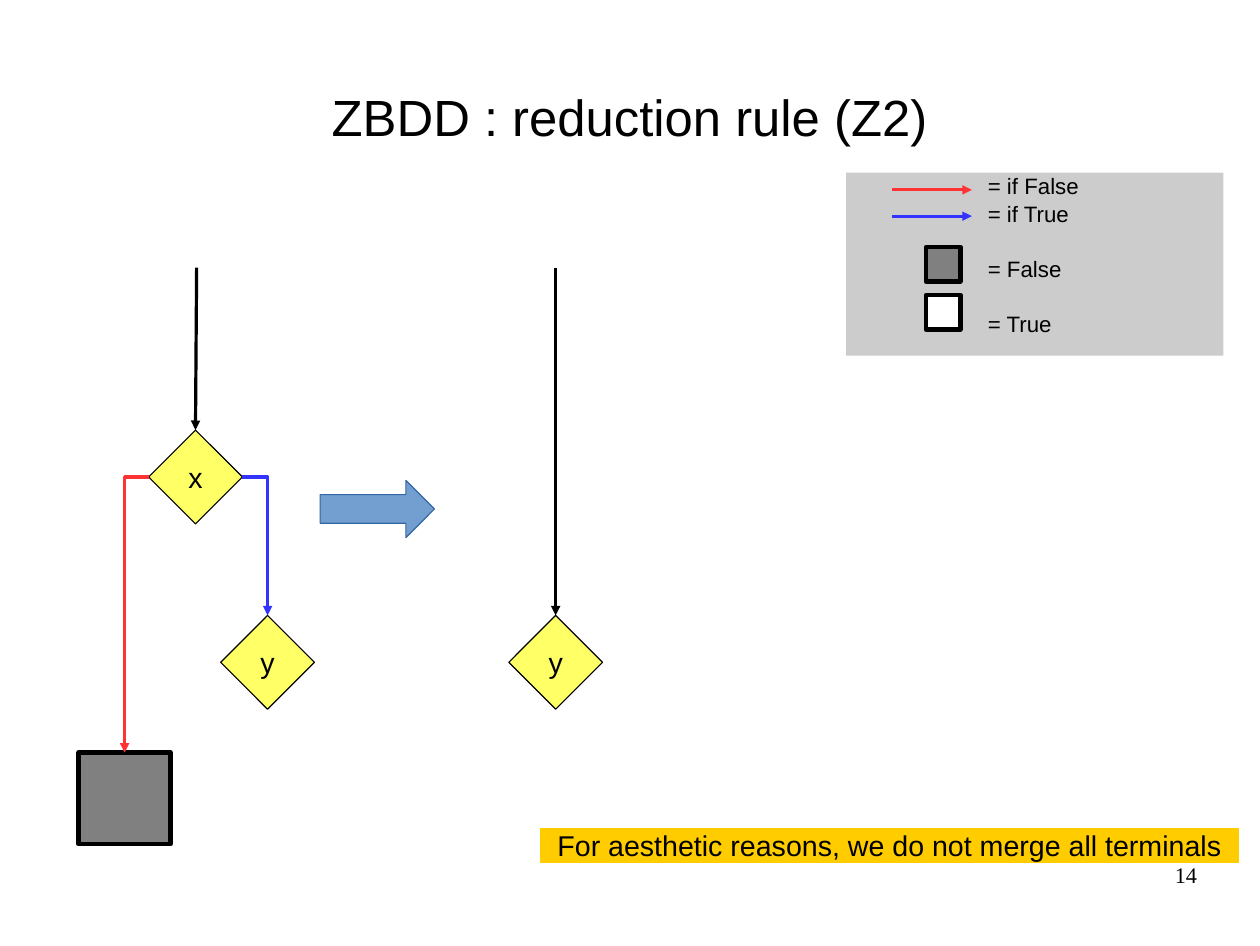
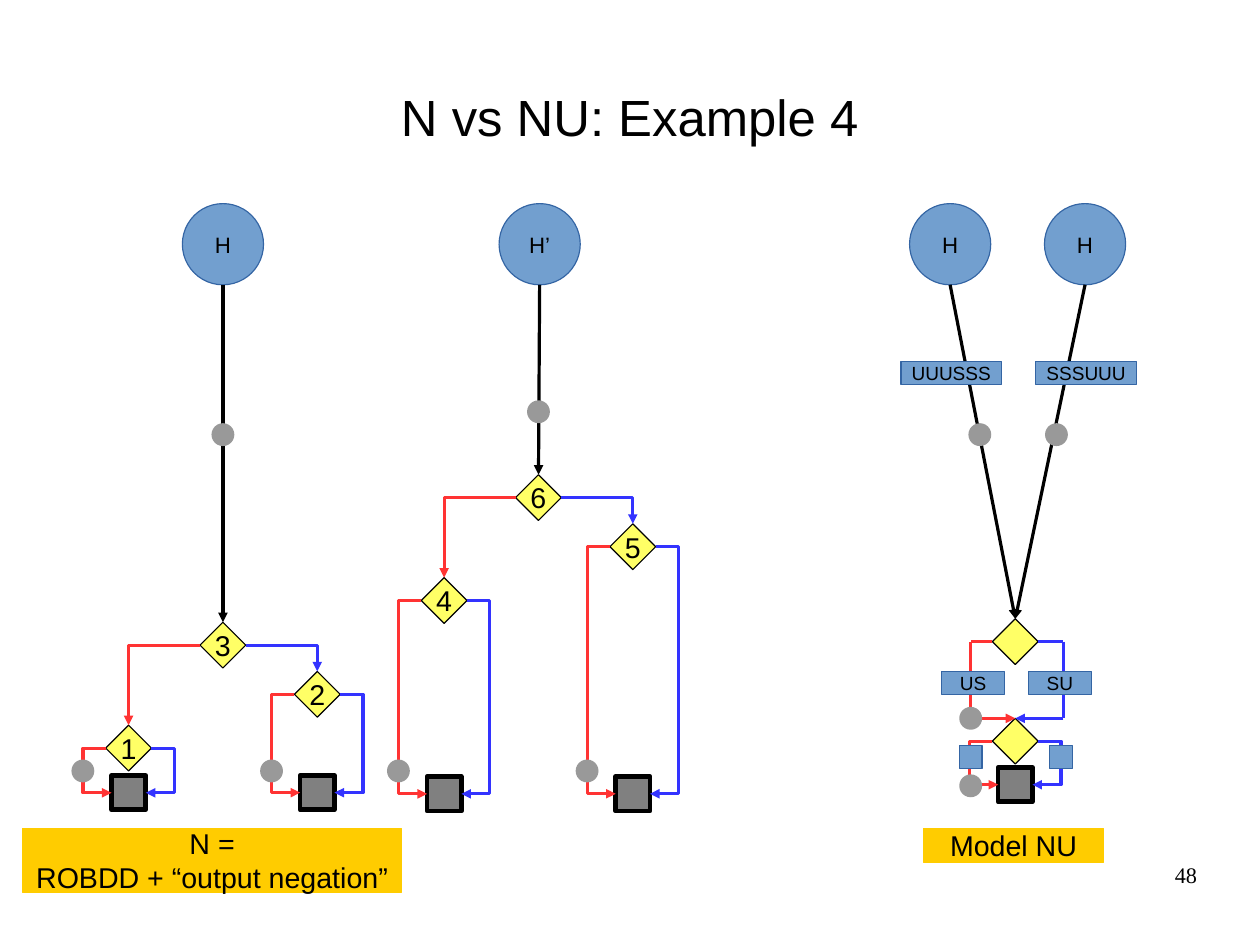
"""Builds two slides on decision diagrams: a reduction rule and an example."""
from lxml.etree import SubElement
from pptx import Presentation
from pptx.dml.color import RGBColor
from pptx.enum.shapes import MSO_CONNECTOR, MSO_SHAPE
from pptx.enum.text import MSO_ANCHOR, PP_ALIGN
from pptx.oxml.ns import qn
from pptx.util import Inches, Pt


class Look:
    sans, serif = "Arial", "Times New Roman"
    black, white = RGBColor(0, 0, 0), RGBColor(255, 255, 255)
    red, blue = RGBColor.from_string("FF3333"), RGBColor.from_string("3333FF")
    node, gold = RGBColor.from_string("FFFF66"), RGBColor.from_string("FFCC00")
    sky, navy = RGBColor.from_string("729FCF"), RGBColor.from_string("3465A4")
    dark, dot = RGBColor.from_string("808080"), RGBColor.from_string("999999")
    panel = RGBColor.from_string("CCCCCC")
    head, body, small, tag = Pt(32), Pt(18), Pt(14), Pt(12)
    hair, thick = Pt(0), Pt(3)


CELL = Inches(0.1)
TOP, LEFT, RIGHT = 0, 1, 3
REACH = 2


def draw(page, kind, mid, size, fill, edge=None, text="", type_size=Look.body, weight=Look.hair):
    (x, y), (w, h) = mid, size
    shape = page.shapes.add_shape(
        kind, *(int(n * CELL) for n in (x - w / 2, y - h / 2, w, h)))
    shape.shadow.inherit = False
    shape.fill.solid()
    shape.fill.fore_color.rgb = fill
    if edge is None:
        shape.line.fill.background()
    else:
        shape.line.color.rgb = edge
        shape.line.width = weight
    if text:
        frame = shape.text_frame
        frame.text = text
        frame.word_wrap = False
        frame.vertical_anchor = MSO_ANCHOR.MIDDLE
        for para in frame.paragraphs:
            para.alignment = PP_ALIGN.CENTER
            para.font.name, para.font.size = Look.sans, type_size
            para.font.color.rgb = Look.black
    return shape


def wire(page, start, end, ink, sites=None, head=True):
    if sites:
        line = page.shapes.add_connector(MSO_CONNECTOR.ELBOW, 0, 0, 0, 0)
        line.begin_connect(start, sites[0])
        line.end_connect(end, sites[1])
        geom = line._element.spPr.find(qn("a:prstGeom"))
        if sites[1] == TOP:
            geom.set("prst", "bentConnector2")
        else:
            bend = round(-REACH * CELL / line.width * 100000)
            SubElement(geom.find(qn("a:avLst")), qn("a:gd"), name="adj1", fmla=f"val {bend}")
    else:
        line = page.shapes.add_connector(
            MSO_CONNECTOR.STRAIGHT, *(int(n * CELL) for n in (*start, *end)))
    line.line.color.rgb = ink
    line.line.width = Look.hair
    if head:
        SubElement(line.line._get_or_add_ln(), qn("a:tailEnd"), type="triangle")
    SubElement(line._element.spPr, qn("a:effectLst"))


deck = Presentation()
deck.slide_width, deck.slide_height = Inches(11.02), Inches(8.27)
pages = []
for title, number in (("ZBDD : reduction rule (Z2)", "14"), ("N vs NU: Example 4", "48")):
    page = deck.slides.add_slide(deck.slide_layouts[6])
    pages.append(page)
    for text, box, font, size, side, anchor in (
        (title, (5.5, 3.3, 99.2, 13.8), Look.sans, Look.head, PP_ALIGN.CENTER, MSO_ANCHOR.MIDDLE),
        (number, (79, 75.3, 25.7, 5.7), Look.serif, Look.small, PP_ALIGN.RIGHT, MSO_ANCHOR.TOP),
    ):
        frame = page.shapes.add_textbox(*(int(n * CELL) for n in box)).text_frame
        frame.text = text
        frame.word_wrap = True
        frame.vertical_anchor = anchor
        frame.margin_left = frame.margin_right = frame.margin_top = frame.margin_bottom = 0
        para = frame.paragraphs[0]
        para.alignment = side
        para.font.name, para.font.size = font, size
        para.font.color.rgb = Look.black
rule, demo = pages

test, kept, final = (
    draw(rule, MSO_SHAPE.DIAMOND, mid, (8.2, 8.2), Look.node, Look.black, text)
    for mid, text in (((17.1, 41.7), "x"), ((23.4, 57.9), "y"), ((48.6, 57.9), "y")))
zero = draw(rule, MSO_SHAPE.RECTANGLE, (10.9, 69.8), (8, 8), Look.dark, Look.black, weight=Look.thick)
wire(rule, test, zero, Look.red, (LEFT, TOP))
wire(rule, test, kept, Look.blue, (RIGHT, TOP))
wire(rule, (17.2, 23.4), (17.1, 37.6), Look.black)
wire(rule, (48.6, 23.4), (48.6, 53.8), Look.black)
draw(rule, MSO_SHAPE.RIGHT_ARROW, (33, 44.5), (10, 5), Look.sky, Look.navy)

legend = draw(rule, MSO_SHAPE.RECTANGLE, (90.5, 23.1), (33, 16), Look.panel,
              text="= if False\n= if True\n= False\n= True", type_size=Look.small)
frame = legend.text_frame
frame.word_wrap = True
frame.vertical_anchor = MSO_ANCHOR.TOP
frame.margin_left, frame.margin_top = int(12.4 * CELL), 0
for para, gap in zip(frame.paragraphs, (0, 0.8, 17.6, 17.6)):
    para.alignment = PP_ALIGN.LEFT
    para.space_before = Pt(gap)
for y, ink in ((16.6, Look.red), (18.9, Look.blue)):
    wire(rule, (78, y), (85, y), ink)
for y, fill in ((23.1, Look.dark), (27.3, Look.white)):
    draw(rule, MSO_SHAPE.RECTANGLE, (82.5, y), (3, 3), fill, Look.black, weight=Look.thick)

for page, mid, size, text in (
    (rule, (77.8, 73.9), (61, 3), "For aesthetic reasons, we do not merge all terminals"),
    (demo, (18.55, 75.2), (33.1, 5.6), "N =\nROBDD + “output negation”"),
    (demo, (88.65, 73.9), (15.7, 3), "Model NU"),
):
    draw(page, MSO_SHAPE.RECTANGLE, mid, size, Look.gold, Look.gold, text)

dots = [(19.5, 38), (47.1, 36), (85.7, 38), (92.4, 38), (84.9, 62.8), (84.9, 68.7)]
loops = []
for x, y, floor, names in ((19.5, 56.4, 69.3, "312"), (47.1, 43.5, 69.4, "645")):
    spots = ((x, y), (x - 8.25, y + 9), (x + 8.25, y + 4.3))
    root, low, high = (
        draw(demo, MSO_SHAPE.DIAMOND, mid, (4, 4), Look.node, Look.black, name)
        for mid, name in zip(spots, names))
    wire(demo, root, low, Look.red, (LEFT, TOP))
    wire(demo, root, high, Look.blue, (RIGHT, TOP))
    for child, (mid, _) in zip((low, high), spots[1:]):
        loops.append((child, mid, floor))
        dots.append((mid - 4, 67.4))

hub = 88.8
upper, lower = (
    draw(demo, MSO_SHAPE.DIAMOND, (hub, y), (4, 4), Look.node, Look.black) for y in (56.1, 64.8))
loops.append((lower, hub, 68.6))
for child, x, floor in loops:
    leaf = draw(demo, MSO_SHAPE.RECTANGLE, (x, floor), (3, 3), Look.dark, Look.black,
                weight=Look.thick)
    wire(demo, child, leaf, Look.red, (LEFT, LEFT))
    wire(demo, child, leaf, Look.blue, (RIGHT, RIGHT))

for edge, turn, ink in ((86.8, 84.9, Look.red), (90.8, 93, Look.blue)):
    wire(demo, (edge, 56.1), (turn, 56.1), ink, head=False)
    wire(demo, (turn, 56.1), (turn, 62.8), ink, head=False)
    wire(demo, (turn, 62.8), (hub, 62.8), ink)

for x, text, foot in (
    (19.5, "H", (19.5, 54.4)), (47.2, "H’", (47.1, 41.5)),
    (83.1, "H", (hub, 54.1)), (94.9, "H", (hub, 54.1)),
):
    draw(demo, MSO_SHAPE.OVAL, (x, 21.35), (7.1, 7.1), Look.sky, Look.navy, text, Look.small)
    wire(demo, (x, 24.9), foot, Look.black)

for mid, width, text in (
    ((83.2, 32.6), 8.8, "UUUSSS"), ((95, 32.6), 8.8, "SSSUUU"),
    ((85.1, 59.7), 5.5, "US"), ((92.7, 59.7), 5.5, "SU"),
    ((84.9, 66.2), 2, ""), ((92.8, 66.2), 2, ""),
):
    draw(demo, MSO_SHAPE.RECTANGLE, mid, (width, 2), Look.sky, Look.navy, text, Look.tag)
for mid in dots:
    draw(demo, MSO_SHAPE.OVAL, mid, (2, 2), Look.dot)

deck.save("out.pptx")
